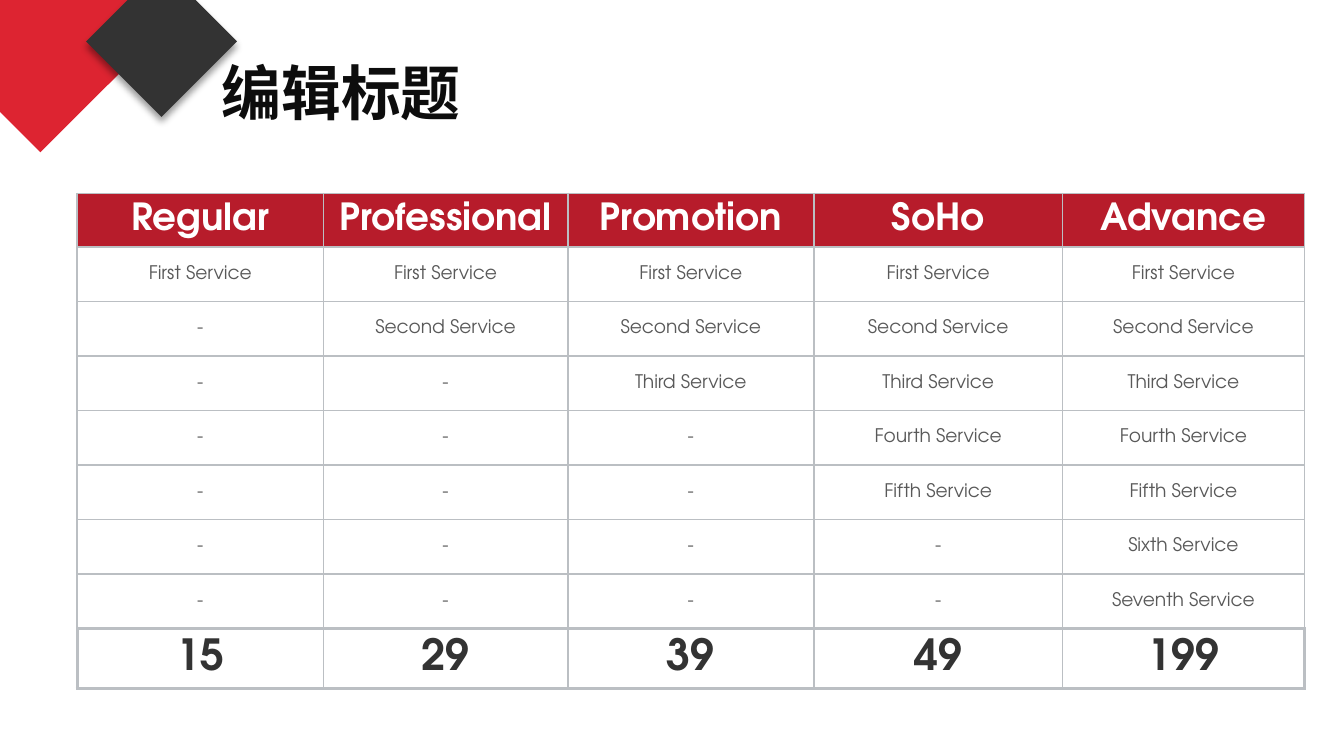
from lxml import etree
from pptx import Presentation
from pptx.dml.color import RGBColor
from pptx.enum.shapes import MSO_SHAPE
from pptx.enum.text import MSO_ANCHOR, PP_ALIGN
from pptx.oxml import parse_xml
from pptx.oxml.ns import nsdecls, qn
from pptx.util import Cm, Pt

DIAMOND = MSO_SHAPE.DIAMOND
MIDDLE = MSO_ANCHOR.MIDDLE
CENTER = PP_ALIGN.CENTER

# Content
TITLE = "编辑标题"
RANKS = ["First", "Second", "Third", "Fourth", "Fifth", "Sixth", "Seventh"]
PLANS = [  # name, number of services, price, column width
    ("Regular", 1, "15", 4.65),
    ("Professional", 2, "29", 4.62),
    ("Promotion", 3, "39", 4.65),
    ("SoHo", 5, "49", 4.7),
    ("Advance", 7, "199", 4.57),
]
GEMS = [  # left, top, side, colour, shadow
    (-1.5, -1.65, 4.53, "DD2431", False),
    (1.63, -0.64, 2.85, "333333", True),
]

# Style
HAN, LATIN = "Noto Sans CJK SC", "TeX Gyre Adventor"
HEAD = (20, "FFFFFF", True)
BODY = (10, "595959", False)
PRICE = (23, "333333", True)
RED, WHITE, GREY = "B71C2B", "FFFFFF", "BBBFC3"
HEAD_H, BODY_H, PRICE_H = 0.99, 1.03, 1.13


def color(text):
    return RGBColor.from_string(text)


def style(para, name, size, tone, bold):
    font = para.font
    font.name, font.size, font.bold = name, Pt(size), bold
    font.color.rgb = color(tone)
    return font


def add_shadow(shape):
    effects = shape._element.spPr.find(qn("a:effectLst"))
    effects.append(parse_xml(
        f'<a:outerShdw {nsdecls("a")} blurRad="{Pt(4)}" dist="{Pt(3)}" '
        'dir="5400000" algn="t" rotWithShape="0"><a:srgbClr val="000000">'
        '<a:alpha val="40000"/></a:srgbClr></a:outerShdw>'))


def set_borders(cell, widths):
    props = cell._tc.get_or_add_tcPr()
    for i, (side, width) in enumerate(zip("LRTB", widths)):
        props.insert(i, parse_xml(
            f'<a:ln{side} {nsdecls("a")} w="{Pt(width)}"><a:solidFill>'
            f'<a:srgbClr val="{GREY}"/></a:solidFill></a:ln{side}>'))


prs = Presentation()
prs.slide_width, prs.slide_height = Cm(25.4), Cm(14.29)
slide = prs.slides.add_slide(prs.slide_layouts[6])

# Title
box = slide.shapes.add_textbox(Cm(3.94), Cm(0.91), Cm(5.03), Cm(1.63))
frame = box.text_frame
frame.word_wrap = False
frame.vertical_anchor = MIDDLE
frame.margin_top = frame.margin_bottom = 0
frame.text = TITLE
font = style(frame.paragraphs[0], HAN, 32, "0D0D0D", True)
etree.SubElement(font._rPr, qn("a:ea")).set("typeface", HAN)

# Corner diamonds
for left, top, side, tone, raised in GEMS:
    gem = slide.shapes.add_shape(DIAMOND, Cm(left), Cm(top), Cm(side), Cm(side))
    gem.shadow.inherit = False
    gem.fill.solid()
    gem.fill.fore_color.rgb = color(tone)
    gem.line.fill.background()
    if raised:
        add_shadow(gem)

# Price table: heading, one row per service, price
heights = [HEAD_H] + [BODY_H] * len(RANKS) + [PRICE_H]
last_row, last_col = len(heights) - 1, len(PLANS) - 1
table = slide.shapes.add_table(
    len(heights), len(PLANS), Cm(1.46), Cm(3.66),
    Cm(sum(plan[3] for plan in PLANS)), Cm(sum(heights))).table
table.first_row = table.horz_banding = False
for row, height in zip(table.rows, heights):
    row.height = Cm(height)

for c, (name, count, price, width) in enumerate(PLANS):
    table.columns[c].width = Cm(width)
    marks = [f"{rank} Service" if i < count else "-"
             for i, rank in enumerate(RANKS)]
    for r, text in enumerate([name, *marks, price]):
        cell = table.cell(r, c)
        cell.text = text
        cell.vertical_anchor = MIDDLE
        cell.margin_left = cell.margin_right = Cm(0.08)
        cell.margin_top = cell.margin_bottom = Cm(0.08)
        para = cell.text_frame.paragraphs[0]
        para.alignment = CENTER
        look = HEAD if r == 0 else PRICE if r == last_row else BODY
        style(para, LATIN, *look)
        # Even rows are filled, odd ones are clear
        if r % 2:
            cell.fill.background()
        else:
            cell.fill.solid()
            cell.fill.fore_color.rgb = color(WHITE if r else RED)
        # A heavier frame runs round the price row
        end = r == last_row
        set_borders(cell, [2 if end and c == 0 else 1,
                           2 if end and c == last_col else 1,
                           2 if end else 1,
                           2 if r >= last_row - 1 else 1])

prs.save("out.pptx")
